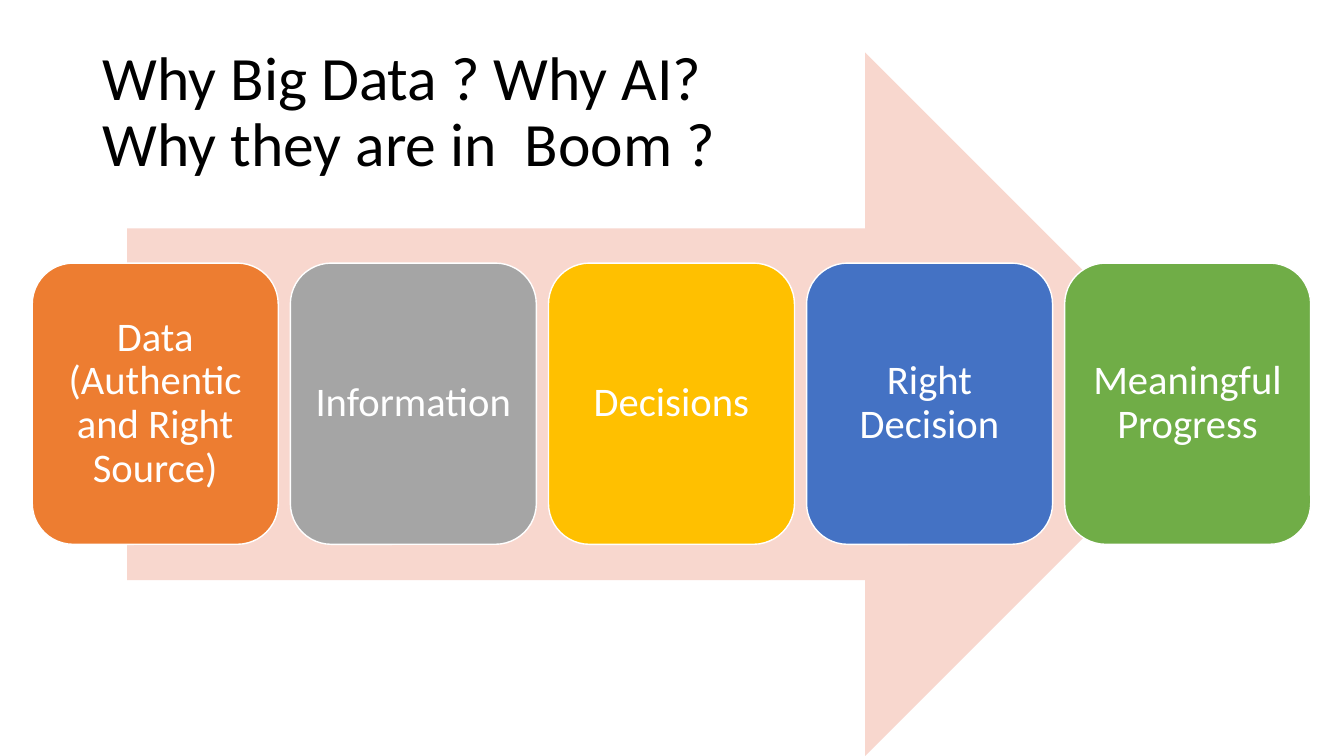
import dataclasses

import pptx
import pptx.dml.color
import pptx.enum.shapes
import pptx.enum.text
import pptx.shapes.autoshape
import pptx.slide
import pptx.text.text
import pptx.util

EMU_PER_PX = 9144


@dataclasses.dataclass(frozen=True)
class Theme:
    font: str = "Calibri"
    title_size: int = 44
    step_size: int = 29
    title_color: str = "000000"
    light: str = "FFFFFF"
    arrow: str = "F8D7CE"


@dataclasses.dataclass(frozen=True)
class Area:
    left: int
    top: int
    width: int
    height: int


@dataclasses.dataclass(frozen=True)
class Step:
    label: str
    color: str


THEME = Theme()
PAGE_WIDTH, PAGE_HEIGHT = 1333, 750
TITLE_AREA = Area(92, 40, 1150, 145)
ARROW_AREA = Area(126, 52, 1081, 698)
FIRST_STEP_AREA = Area(32, 261, 244, 279)
STEP_GAP = 12
STEP_INSET = 12
TITLE = "Why Big Data ? Why AI? \nWhy they are in  Boom ?"
STEPS = [
    Step("Data (Authentic and Right Source)", "ED7D31"),
    Step("Information", "A5A5A5"),
    Step("Decisions", "FFC000"),
    Step("Right Decision", "4472C4"),
    Step("Meaningful Progress", "70AD47"),
]


def px(length: int) -> pptx.util.Emu:
    return pptx.util.Emu(length * EMU_PER_PX)


def rgb(color: str) -> pptx.dml.color.RGBColor:
    return pptx.dml.color.RGBColor.from_string(color)


def write_text(
    frame: pptx.text.text.TextFrame,
    text: str,
    *,
    size: int,
    color: str,
    align: pptx.enum.text.PP_ALIGN,
) -> None:
    frame.word_wrap = True
    frame.auto_size = pptx.enum.text.MSO_AUTO_SIZE.NONE
    frame.vertical_anchor = pptx.enum.text.MSO_ANCHOR.MIDDLE
    para = frame.paragraphs[0]
    para.alignment = align
    para.line_spacing = 0.9
    for index, line in enumerate(text.split("\n")):
        if index:
            para.add_line_break()
        span = para.add_run()
        span.text = line
        span.font.name = THEME.font
        span.font.size = pptx.util.Pt(size)
        span.font.color.rgb = rgb(color)


def add_box(
    page: pptx.slide.Slide,
    kind: pptx.enum.shapes.MSO_SHAPE,
    area: Area,
    fill: str,
) -> pptx.shapes.autoshape.Shape:
    box = page.shapes.add_shape(
        kind, px(area.left), px(area.top), px(area.width), px(area.height)
    )
    box.shadow.inherit = False
    box.fill.solid()
    box.fill.fore_color.rgb = rgb(fill)
    box.line.fill.background()
    return box


def add_title(page: pptx.slide.Slide) -> None:
    title = page.shapes.title
    title.left, title.top = px(TITLE_AREA.left), px(TITLE_AREA.top)
    title.width, title.height = px(TITLE_AREA.width), px(TITLE_AREA.height)
    write_text(
        title.text_frame,
        TITLE,
        size=THEME.title_size,
        color=THEME.title_color,
        align=pptx.enum.text.PP_ALIGN.LEFT,
    )


def add_step(page: pptx.slide.Slide, step: Step, area: Area) -> None:
    box = add_box(
        page, pptx.enum.shapes.MSO_SHAPE.ROUNDED_RECTANGLE, area, step.color
    )
    box.line.color.rgb = rgb(THEME.light)
    box.line.width = pptx.util.Pt(1)
    frame = box.text_frame
    frame.margin_left = frame.margin_right = px(STEP_INSET)
    frame.margin_top = frame.margin_bottom = px(STEP_INSET)
    write_text(
        frame,
        step.label,
        size=THEME.step_size,
        color=THEME.light,
        align=pptx.enum.text.PP_ALIGN.CENTER,
    )


def main() -> None:
    deck = pptx.Presentation()
    deck.slide_width, deck.slide_height = px(PAGE_WIDTH), px(PAGE_HEIGHT)
    page = deck.slides.add_slide(deck.slide_layouts.get_by_name("Title Only"))
    add_title(page)
    add_box(page, pptx.enum.shapes.MSO_SHAPE.RIGHT_ARROW, ARROW_AREA, THEME.arrow)
    pitch = FIRST_STEP_AREA.width + STEP_GAP
    for index, step in enumerate(STEPS):
        left = FIRST_STEP_AREA.left + index * pitch
        add_step(page, step, dataclasses.replace(FIRST_STEP_AREA, left=left))
    deck.save("out.pptx")


if __name__ == "__main__":
    main()
